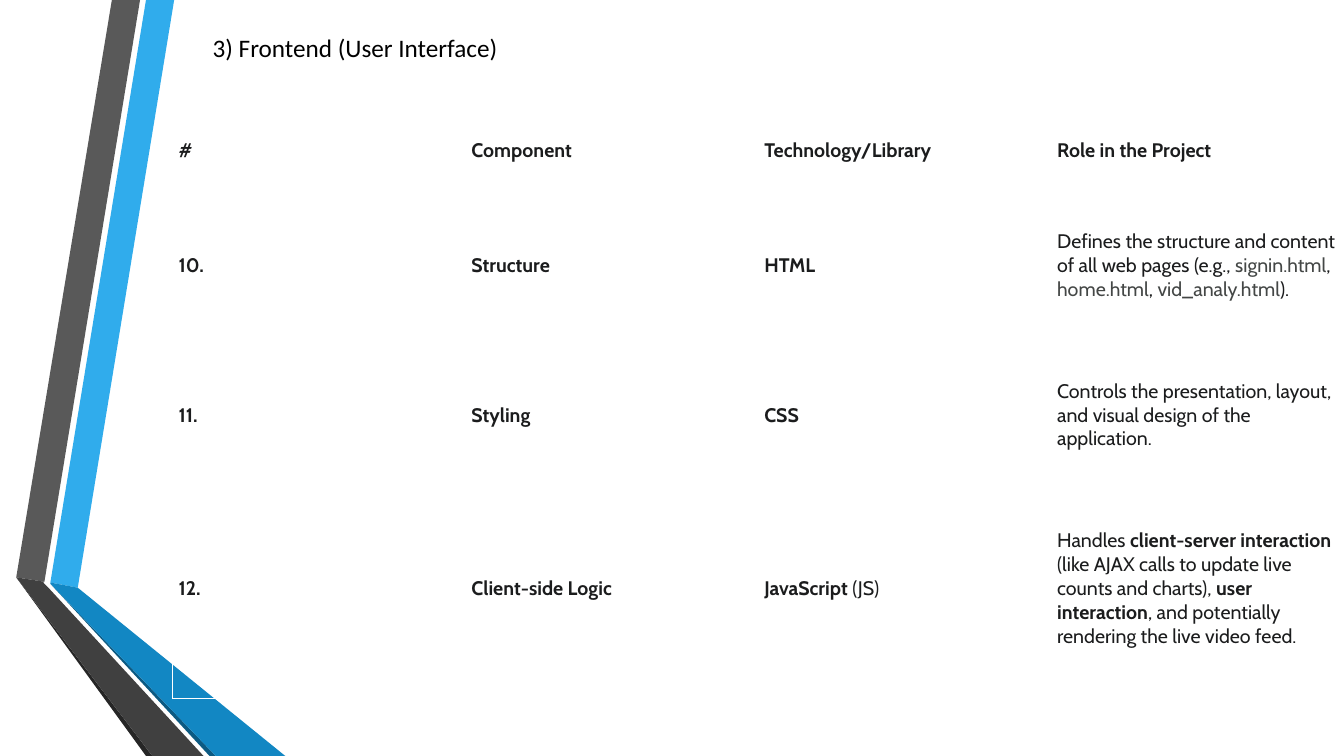
"""Build the frontend technology slide with its folded ribbons and component table."""
import pptx
import pptx.dml.color
import pptx.enum.text
import pptx.oxml
import pptx.oxml.ns
import pptx.util
from pptx.util import Cm

INK, GREY = "1B1C1D", "444746"


def color(hex_code):
    return pptx.dml.color.RGBColor.from_string(hex_code)


def add_span(para, text, font, size, bold, hex_code):
    span = para.add_run()
    span.text = text
    span.font.name = font
    span.font.size = pptx.util.Pt(size)
    span.font.bold = bold
    span.font.color.rgb = color(hex_code)


deck = pptx.Presentation()
deck.slide_width, deck.slide_height = Cm(33.87), Cm(19.05)
page = deck.slides.add_slide(deck.slide_layouts[6])

ribbons = [
    ("30ACEC", [(1.27, 14.68), (1.96, 14.81), (4.39, 0), (3.68, 0)]),
    ("595959", [(3.53, 0), (2.82, 0), (0.41, 14.55), (1.12, 14.66)]),
    ("262626", [(0.41, 14.55), (3.68, 19.05), (3.84, 19.05)]),
    ("0C5A82", [(1.27, 14.71), (5.28, 19.05), (5.44, 19.05)]),
    ("1287C3", [(1.27, 14.71), (5.44, 19.05), (7.19, 19.05), (1.96, 14.81), (1.27, 14.68)]),
    ("404040", [(5.13, 19.05), (1.22, 14.81), (1.09, 14.68), (1.12, 14.66),
                (0.41, 14.55), (3.84, 19.05)]),
]
for fill, corners in ribbons:
    points = [(Cm(x), Cm(y)) for x, y in corners]
    outline = page.shapes.build_freeform(*points[0])
    outline.add_line_segments(points[1:], close=True)
    ribbon = outline.convert_to_shape()
    ribbon.shadow.inherit = False
    ribbon.fill.solid()
    ribbon.fill.fore_color.rgb = color(fill)
    ribbon.line.fill.background()

title = page.shapes.add_textbox(Cm(5.11), Cm(0.69), Cm(27.64), Cm(1.02))
title.text_frame.word_wrap = True
add_span(title.text_frame.paragraphs[0], "3) Frontend (User Interface)", "Calibri", 18, False, "000000")

rows = [
    (1.4, ["#", "Component", "Technology/Library", "Role in the Project"]),
    (4.37, ["10.", "Structure", "HTML", [
        ("Defines the structure and content of all web pages (e.g., ", False, INK),
        ("signin.html", False, GREY), (", ", False, INK),
        ("home.html", False, GREY), (", ", False, INK),
        ("vid_analy.html", False, GREY), (").", False, INK)]]),
    (3.18, ["11.", "Styling", "CSS", [
        ("Controls the presentation, layout, and visual design of the application.", False, INK)]]),
    (5.56, ["12.", "Client-side Logic", [("JavaScript", True, INK), (" (JS)", False, INK)], [
        ("Handles ", False, INK), ("client-server interaction", True, INK),
        (" (like AJAX calls to update live counts and charts), ", False, INK),
        ("user interaction", True, INK),
        (", and potentially rendering the live video feed.", False, INK)]]),
]
table = page.shapes.add_table(len(rows), 4, Cm(4.34), Cm(3.1), Cm(29.52), Cm(14.51)).table
table.first_row = table.horz_banding = False
for column in table.columns:
    column.width = Cm(7.38)

for row_index, (height, entries) in enumerate(rows):
    table.rows[row_index].height = Cm(height)
    for column_index, entry in enumerate(entries):
        cell = table.cell(row_index, column_index)
        cell.vertical_anchor = pptx.enum.text.MSO_ANCHOR.MIDDLE
        cell.margin_left = cell.margin_right = Cm(0.16)
        cell.margin_top = cell.margin_bottom = Cm(0.11)
        properties = cell._tc.get_or_add_tcPr()
        for side in ("lnL", "lnR", "lnT", "lnB"):
            properties.append(pptx.oxml.parse_xml(
                f'<a:{side} {pptx.oxml.ns.nsdecls("a")} w="7620"><a:solidFill>'
                f'<a:srgbClr val="FFFFFF"/></a:solidFill></a:{side}>'))
        cell.fill.background()
        spans = [(entry, True, INK)] if isinstance(entry, str) else entry
        for text, bold, hex_code in spans:
            add_span(cell.text_frame.paragraphs[0], text, "Cabin", 14, bold, hex_code)

deck.save("out.pptx")
